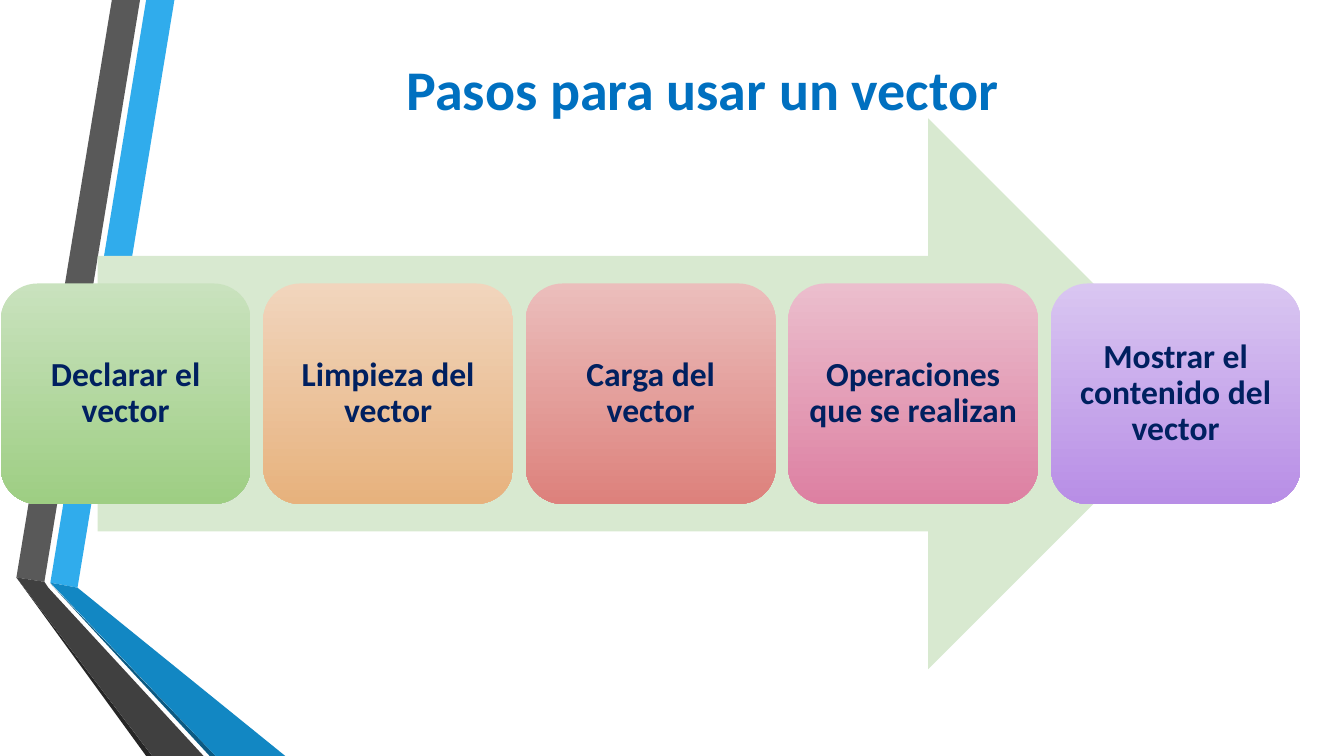
from dataclasses import dataclass

from pptx import Presentation
from pptx import util as u
from pptx.dml.color import RGBColor
from pptx.enum import shapes, text

FONT = "Calibri"
COLORS = {
    "title": "0070C0",
    "label": "002060",
    "arrow": "D8E9D0",
    "blue": "30ACEC",
    "blue_fold": "1287C3",
    "blue_edge": "0C5A82",
    "gray": "595959",
    "gray_fold": "404040",
    "gray_edge": "262626",
}


@dataclass
class Ribbon:
    color: str
    points: list[tuple[float, float]]


@dataclass
class Step:
    label: str
    top: str
    bottom: str


RIBBONS = [
    Ribbon("blue", [(36, 416.2), (55.4, 419.8), (124.6, 0), (104.4, 0)]),
    Ribbon("gray", [(100, 0), (79.9, 0), (11.7, 412.5), (31.7, 415.6)]),
    Ribbon("gray_edge", [(11.7, 412.5), (104.4, 540), (108.7, 540)]),
    Ribbon("blue_edge", [(36, 416.8), (149.8, 540), (154.1, 540)]),
    Ribbon("blue_fold", [(36, 416.2), (154.1, 540), (203.8, 540), (55.4, 419.8)]),
    Ribbon("gray_fold", [(145.4, 540), (34.5, 419.8), (31.7, 415.6),
                         (11.7, 412.5), (108.7, 540)]),
]

STEPS = [
    Step("Declarar el vector", "C9E2BE", "9ECE83"),
    Step("Limpieza del vector", "F1D5BD", "E7B27D"),
    Step("Carga del vector", "EBBEBC", "DD817C"),
    Step("Operaciones que se realizan", "EBBECD", "DD80A2"),
    Step("Mostrar el contenido del vector", "D9C6F1", "B88EE6"),
]

STEP_LEFT, STEP_TOP, STEP_PITCH = 0.5, 202.5, 187.5
STEP_WIDTH, STEP_HEIGHT = 178.5, 157.5


def write(sp, content: str, *, size: float, color: str, inset: float = 7.2,
          spacing: float = 1.0) -> None:
    tf = sp.text_frame
    tf.word_wrap = True
    tf.auto_size = text.MSO_AUTO_SIZE.NONE
    tf.vertical_anchor = text.MSO_ANCHOR.MIDDLE
    tf.margin_left = tf.margin_right = u.Pt(inset)
    tf.margin_top = tf.margin_bottom = u.Pt(inset)
    p = tf.paragraphs[0]
    p.alignment = text.PP_ALIGN.CENTER
    p.line_spacing = spacing
    r = p.add_run()
    r.text = content
    r.font.name = FONT
    r.font.size = u.Pt(size)
    r.font.bold = True
    r.font.color.rgb = RGBColor.from_string(color)


def paint(sp, color: str) -> None:
    sp.shadow.inherit = False
    sp.fill.solid()
    sp.fill.fore_color.rgb = RGBColor.from_string(color)
    sp.line.fill.background()


def draw_ribbon(s, ribbon: Ribbon) -> None:
    first, *rest = [(u.Pt(x), u.Pt(y)) for x, y in ribbon.points]
    builder = s.shapes.build_freeform(*first)
    builder.add_line_segments(rest, close=True)
    paint(builder.convert_to_shape(), COLORS[ribbon.color])


def draw_step(s, index: int, step: Step) -> None:
    sp = s.shapes.add_shape(
        shapes.MSO_SHAPE.ROUNDED_RECTANGLE,
        u.Pt(STEP_LEFT + index * STEP_PITCH), u.Pt(STEP_TOP),
        u.Pt(STEP_WIDTH), u.Pt(STEP_HEIGHT))
    sp.shadow.inherit = False
    sp.line.fill.background()
    sp.fill.gradient()
    sp.fill.gradient_angle = 270
    for stop, color in zip(sp.fill.gradient_stops, (step.top, step.bottom)):
        stop.color.rgb = RGBColor.from_string(color)
    write(sp, step.label, size=24, color=COLORS["label"], inset=6.5, spacing=0.9)


def main() -> None:
    prs = Presentation()
    prs.slide_width, prs.slide_height = u.Pt(960), u.Pt(540)
    s = prs.slides.add_slide(prs.slide_layouts[5])

    # Folded ribbons on the left edge
    for ribbon in RIBBONS:
        draw_ribbon(s, ribbon)

    # Title
    title = s.shapes.title
    title.left, title.top = u.Pt(107.3), u.Pt(10)
    title.width, title.height = u.Pt(789), u.Pt(106.5)
    write(title, "Pasos para usar un vector", size=40, color=COLORS["title"])

    # Arrow behind the steps
    arrow = s.shapes.add_shape(shapes.MSO_SHAPE.RIGHT_ARROW,
                               u.Pt(69.8), u.Pt(84.5), u.Pt(790), u.Pt(393.5))
    paint(arrow, COLORS["arrow"])

    # Steps
    for index, step in enumerate(STEPS):
        draw_step(s, index, step)

    prs.save("out.pptx")


if __name__ == "__main__":
    main()
